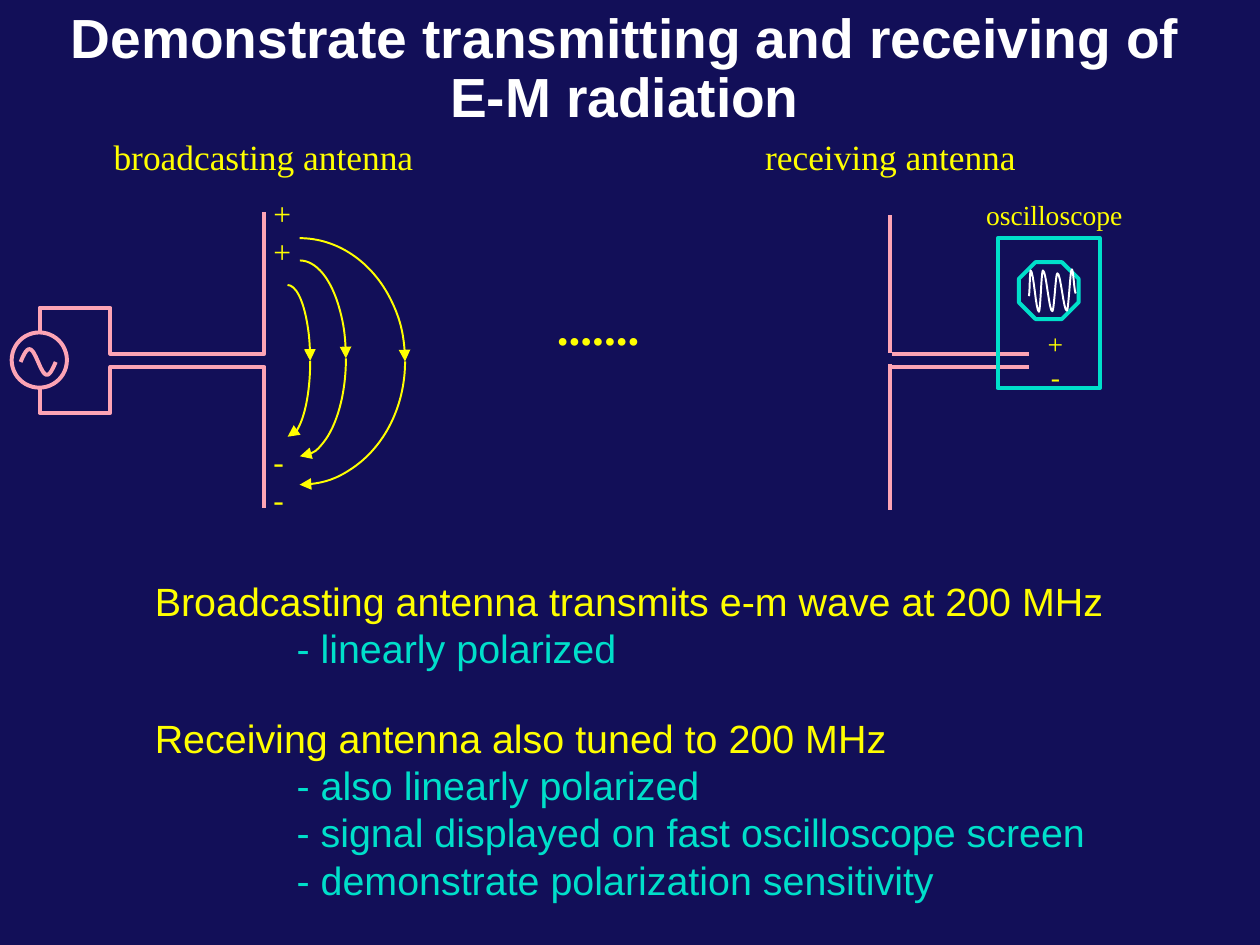
import math
from dataclasses import dataclass
from typing import Optional

from lxml import etree
from pptx import Presentation
from pptx.dml.color import RGBColor
from pptx.enum.shapes import MSO_CONNECTOR, MSO_SHAPE
from pptx.enum.text import MSO_ANCHOR, MSO_AUTO_SIZE, PP_ALIGN
from pptx.oxml.ns import qn
from pptx.util import Cm, Pt

STRAIGHT = MSO_CONNECTOR.STRAIGHT
ARC, OCTAGON = MSO_SHAPE.ARC, MSO_SHAPE.OCTAGON
OVAL, RECTANGLE = MSO_SHAPE.OVAL, MSO_SHAPE.RECTANGLE
CENTER, LEFT = PP_ALIGN.CENTER, PP_ALIGN.LEFT
TOP, NO_AUTOFIT = MSO_ANCHOR.TOP, MSO_AUTO_SIZE.NONE

COLORS = {
    "background": "120F58",
    "title": "FFFFFF",
    "text": "FFFF00",
    "detail": "00DFCA",
    "antenna": "FDA4B5",
    "scope": "00DFCA",
    "trace": "FFFFFF",
    "field": "FFFF00",
}
SANS, SERIF = "Arial", "Times New Roman"
TWO_CONTENT_LAYOUT = 3
FEED_AXIS = 6.46  # height of the broadcasting antenna's centre, in cm
Point = tuple[float, float]


@dataclass
class Label:
    lines: list[str]
    left: float
    top: float
    width: float
    height: float
    size: int
    alignment: PP_ALIGN = LEFT
    bold: bool = False


@dataclass
class Bullets:
    heading: str
    details: list[str]
    top: float
    height: float


@dataclass
class FieldLine:
    """A pair of quarter arcs on one ellipse, each ending in an arrowhead."""
    left: float
    top: float
    width: float
    height: float


LABELS = [
    Label(["broadcasting antenna"], 1.78, 2.29, 5.89, 1.02, 18, CENTER),
    Label(["receiving antenna"], 13.46, 2.29, 5.0, 1.02, 18, CENTER),
    Label(["+", "+"], 4.65, 3.35, 0.81, 1.6, 16),
    Label(["-", "-"], 4.65, 7.8, 0.69, 1.6, 16),
    Label(["......."], 9.73, 5.23, 2.5, 1.27, 24, bold=True),
    Label(["oscilloscope"], 17.42, 3.43, 2.95, 0.84, 14, CENTER),
    Label(["+", "-"], 18.52, 5.74, 0.79, 1.42, 14, CENTER),
]
BULLETS = [
    Bullets("Broadcasting antenna transmits e-m wave at 200 MHz",
            ["- linearly polarized"], 10.21, 1.96),
    Bullets("Receiving antenna also tuned to 200 MHz",
            ["- also linearly polarized",
             "- signal displayed on fast oscilloscope screen",
             "- demonstrate polarization sensitivity"], 12.67, 3.63),
]
FIELD_LINES = [
    FieldLine(4.55, 4.67, 1.65, 3.51),
    FieldLine(3.48, 4.27, 3.78, 4.42),
    FieldLine(4.75, 5.11, 0.81, 2.72),
]
FEED_WIRE = [(0.71, 5.94), (0.71, 5.52), (1.98, 5.52),
             (1.98, 6.34), (4.74, 6.34), (4.74, 3.81)]
RECEIVER_WIRES = [
    ((15.95, 9.14), (15.95, 6.53)),
    ((15.98, 6.58), (18.44, 6.58)),
    ((15.95, 3.86), (15.95, 6.32)),
    ((15.98, 6.35), (18.44, 6.35)),
]
TRACE_TURNS = [(18.44, 5.31), (18.47, 4.85), (18.62, 5.59), (18.69, 4.85), (18.86, 5.58),
               (18.95, 4.9), (19.12, 5.57), (19.21, 4.83), (19.28, 5.26)]


def rgb(name: str) -> RGBColor:
    return RGBColor.from_string(COLORS[name])


def style_outline(shape, color: str, width: float) -> None:
    shape.fill.background()
    shape.line.color.rgb = rgb(color)
    shape.line.width = Pt(width)
    shape.shadow.inherit = False


def add_outline(slide, kind, left: float, top: float, width: float, height: float,
                color: str, line_width: float = 2):
    shape = slide.shapes.add_shape(kind, Cm(left), Cm(top), Cm(width), Cm(height))
    style_outline(shape, color, line_width)
    return shape


def add_polyline(slide, points: list[Point], color: str, width: float = 2) -> None:
    vertices = [(Cm(x), Cm(y)) for x, y in points]
    builder = slide.shapes.build_freeform(*vertices[0])
    builder.add_line_segments(vertices[1:], close=False)
    style_outline(builder.convert_to_shape(), color, width)


def add_wire(slide, start: Point, end: Point) -> None:
    wire = slide.shapes.add_connector(STRAIGHT, *(Cm(value) for value in start + end))
    wire.line.color.rgb = rgb("antenna")
    wire.line.width = Pt(2)
    etree.SubElement(wire._element.spPr, qn("a:effectLst"))


def add_field_line(slide, field: FieldLine) -> None:
    for angles in ((-90, 0), (0, 90)):
        arc = add_outline(slide, ARC, field.left, field.top, field.width, field.height,
                          "field", 1)
        for index, angle in enumerate(angles):
            arc.adjustments[index] = angle % 360 * 0.6  # 60000 units to the degree
        etree.SubElement(arc.line._get_or_add_ln(), qn("a:tailEnd"), type="triangle")


def smooth_turns(turns: list[Point], steps: int = 8) -> list[Point]:
    """Join turning points with half cosine waves."""
    points = [turns[0]]
    for (x1, y1), (x2, y2) in zip(turns, turns[1:]):
        for step in range(1, steps + 1):
            part = step / steps
            rise = (1 - math.cos(math.pi * part)) / 2
            points.append((x1 + (x2 - x1) * part, y1 + (y2 - y1) * rise))
    return points


def format_font(paragraph, name: str, size: int, color: str, bold: Optional[bool] = None) -> None:
    font = paragraph.font
    font.name, font.size, font.bold = name, Pt(size), bold
    font.color.rgb = rgb(color)


def place(shape, left: float, top: float, width: float, height: float) -> None:
    shape.left, shape.top = Cm(left), Cm(top)
    shape.width, shape.height = Cm(width), Cm(height)


def add_label(slide, label: Label) -> None:
    box = slide.shapes.add_textbox(Cm(label.left), Cm(label.top),
                                   Cm(label.width), Cm(label.height))
    frame = box.text_frame
    frame.word_wrap = False
    frame.text = "\n".join(label.lines)
    for paragraph in frame.paragraphs:
        paragraph.alignment = label.alignment
        format_font(paragraph, SERIF, label.size, "text", label.bold)


def fill_title(title) -> None:
    place(title, 0.93, 0.11, 20.52, 2.29)
    frame = title.text_frame
    frame.auto_size = NO_AUTOFIT
    frame.margin_left = frame.margin_right = Cm(0.18)
    frame.margin_top = frame.margin_bottom = Cm(0.08)
    frame.text = "Demonstrate transmitting and receiving of E-M radiation"
    paragraph = frame.paragraphs[0]
    paragraph.alignment = CENTER
    paragraph.line_spacing = 0.9
    format_font(paragraph, SANS, 28, "title", True)


def fill_bullets(body, bullets: Bullets) -> None:
    place(body, 2.52, bullets.top, 18, bullets.height)
    frame = body.text_frame
    frame.auto_size, frame.vertical_anchor = NO_AUTOFIT, TOP
    frame.text = "\n".join([bullets.heading, *bullets.details])
    for index, paragraph in enumerate(frame.paragraphs):
        paragraph.level = min(index, 1)
        properties = paragraph._p.get_or_add_pPr()
        properties.set("marL", str(Cm(2.54) * paragraph.level))
        properties.set("indent", "0")
        etree.SubElement(properties, qn("a:buNone"))
        paragraph.space_before = Pt(0)
        format_font(paragraph, SANS, 20, "detail" if index else "text")


def draw_broadcaster(slide) -> None:
    add_outline(slide, OVAL, 0.21, 5.96, 0.99, 0.99, "antenna")
    wave = [(0.37 + 0.63 * step / 32, 6.49 - 0.23 * math.sin(math.tau * step / 32))
            for step in range(33)]
    mirrored_wire = [(x, 2 * FEED_AXIS - y) for x, y in FEED_WIRE]
    for points in (wave, FEED_WIRE, mirrored_wire):
        add_polyline(slide, points, "antenna")
    for field in FIELD_LINES:
        add_field_line(slide, field)


def draw_receiver(slide) -> None:
    for start, end in RECEIVER_WIRES:
        add_wire(slide, start, end)
    add_outline(slide, OCTAGON, 18.26, 4.7, 1.07, 1.02, "scope")
    add_outline(slide, RECTANGLE, 17.88, 4.27, 1.83, 2.69, "scope")
    add_polyline(slide, smooth_turns(TRACE_TURNS), "trace", 1)


def main() -> None:
    presentation = Presentation()
    presentation.slide_width, presentation.slide_height = Cm(22.58), Cm(16.94)
    slide = presentation.slides.add_slide(presentation.slide_layouts[TWO_CONTENT_LAYOUT])
    slide.background.fill.solid()
    slide.background.fill.fore_color.rgb = rgb("background")
    title, *bodies = slide.placeholders
    fill_title(title)
    for body, bullets in zip(bodies, BULLETS):
        fill_bullets(body, bullets)
    draw_broadcaster(slide)
    draw_receiver(slide)
    for label in LABELS:
        add_label(slide, label)
    presentation.save("out.pptx")


if __name__ == "__main__":
    main()
